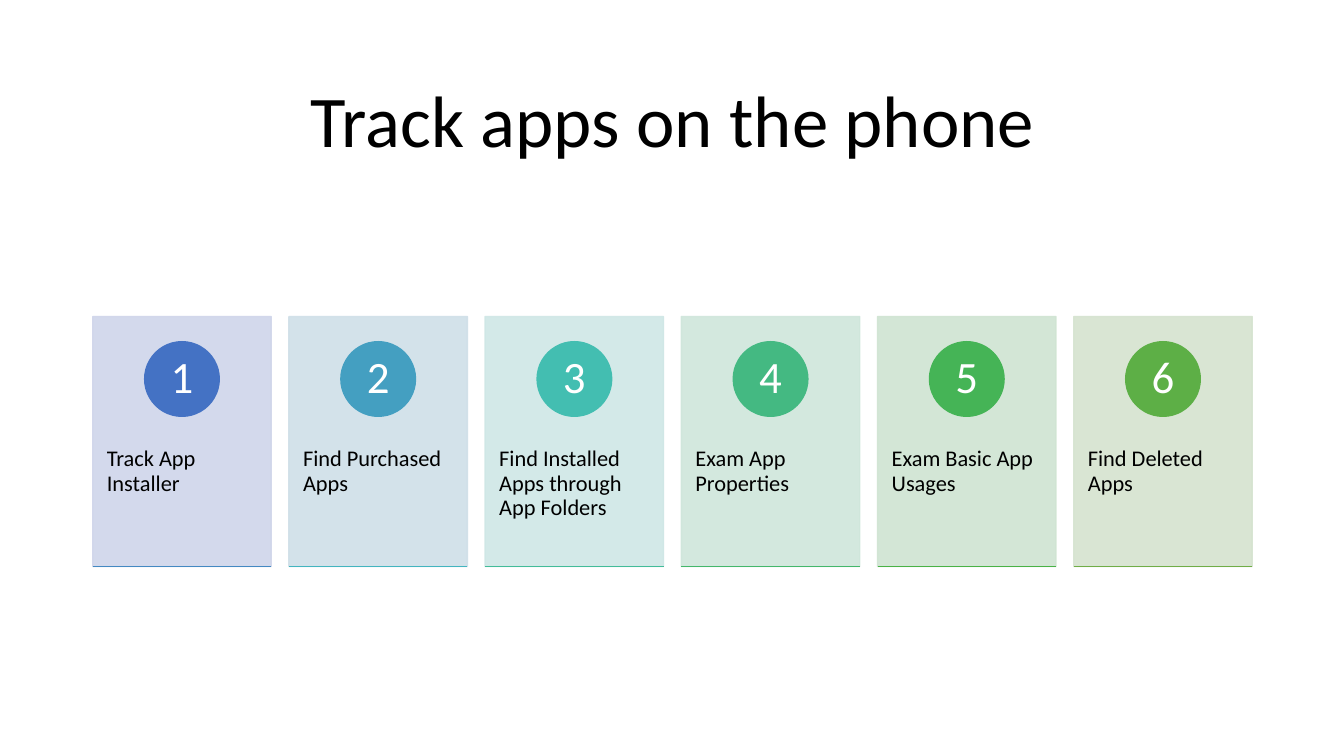
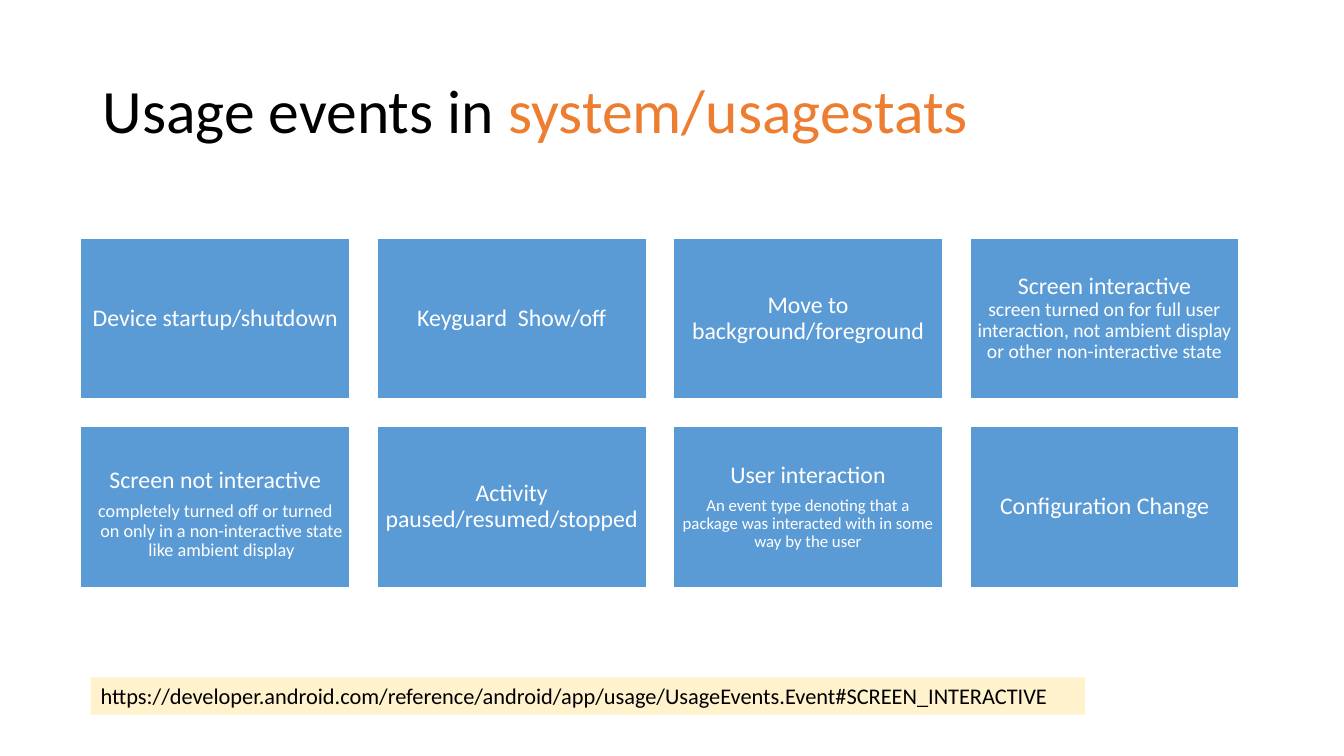
from lxml.etree import SubElement
from pptx import Presentation
from pptx.dml.color import RGBColor
from pptx.enum.shapes import MSO_CONNECTOR, MSO_SHAPE
from pptx.enum.text import MSO_ANCHOR, PP_ALIGN
from pptx.oxml.ns import qn
from pptx.util import Inches, Pt

FONT = "Calibri"
BLACK, WHITE = "000000", "FFFFFF"
ORANGE, BLUE, CREAM = "ED7D31", "5B9BD5", "FFF2CC"

# label, card colour, circle colour, rule colour
STEPS = [
    ("Track App Installer", "CFD5EA", "4472C4", "4489C2"),
    ("Find Purchased Apps", "CFDFE8", "449FC1", "43B5BF"),
    ("Find Installed Apps through App Folders", "CFE7E6", "43BEB1", "43BC99"),
    ("Exam App Properties", "CFE6DB", "44B982", "44B76B"),
    ("Exam Basic App Usages", "CFE4D2", "45B456", "49B246"),
    ("Find Deleted Apps", "D5E3CF", "5DAF46", "70AD47"),
]

# heading, then optional detail: text, size, space before
EVENTS = [
    ("Device startup/shutdown", None),
    ("Keyguard  Show/off", None),
    ("Move to background/foreground", None),
    ("Screen interactive",
     ("screen turned on for full user interaction, not ambient display "
      "or other non-interactive state", 14, 0)),
    ("Screen not interactive",
     ("completely turned off or turned on only in a non-interactive state "
      "like ambient display", 13, 6)),
    ("Activity paused/resumed/stopped", None),
    ("User interaction",
     ("An event type denoting that a package was interacted with in some "
      "way by the user", 12, 6)),
    ("Configuration Change", None),
]
LOW_EVENT = "Screen not interactive"  # set from the top, detail hangs


def rgb(value):
    return RGBColor.from_string(value)


def set_frame(tf, insets, anchor):
    tf.word_wrap = True
    tf.vertical_anchor = anchor
    (tf.margin_left, tf.margin_top,
     tf.margin_right, tf.margin_bottom) = map(Inches, insets)


def style(p, size, color, align=PP_ALIGN.LEFT, spacing=0.9):
    p.alignment = align
    p.line_spacing = spacing
    p.font.name = FONT
    p.font.size = Pt(size)
    p.font.color.rgb = rgb(color)


def add_block(s, kind, left, top, width, height, fill, line=None):
    sp = s.shapes.add_shape(kind, Inches(left), Inches(top),
                            Inches(width), Inches(height))
    sp.shadow.inherit = False
    sp.fill.solid()
    sp.fill.fore_color.rgb = rgb(fill)
    if line:
        sp.line.color.rgb = rgb(line)
        sp.line.width = Pt(1)
    else:
        sp.line.fill.background()
    return sp


def set_alpha(sp, percent):
    for color in sp._element.spPr.iter(qn("a:srgbClr")):
        SubElement(color, qn("a:alpha"), val=str(percent * 1000))


def add_title(s, top, height, size, runs, align):
    box = s.shapes.add_textbox(Inches(0.92), Inches(top),
                               Inches(11.5), Inches(height))
    set_frame(box.text_frame, (0.1, 0.05, 0.1, 0.05), MSO_ANCHOR.MIDDLE)
    p = box.text_frame.paragraphs[0]
    style(p, size, BLACK, align)
    for text, color in runs:
        r = p.add_run()
        r.text = text
        r.font.color.rgb = rgb(color)


def add_step(s, left, top, width, height, number, step):
    label, card_color, circle_color, rule_color = step
    # Card with its label
    card = add_block(s, MSO_SHAPE.RECTANGLE, left, top, width, height,
                     card_color, card_color)
    set_alpha(card, 90)
    set_frame(card.text_frame, (0.14, 1.3, 0.14, 0.05), MSO_ANCHOR.TOP)
    p = card.text_frame.paragraphs[0]
    p.text = label
    style(p, 16, BLACK)
    # Numbered circle
    size = 0.74
    circle = add_block(s, MSO_SHAPE.OVAL, left + (width - size) / 2,
                       top + 0.25, size, size, circle_color, circle_color)
    set_frame(circle.text_frame, (0, 0, 0, 0), MSO_ANCHOR.MIDDLE)
    p = circle.text_frame.paragraphs[0]
    p.text = str(number)
    style(p, 32, WHITE, PP_ALIGN.CENTER)
    # Rule along the bottom edge
    y = Inches(top + height)
    rule = s.shapes.add_connector(MSO_CONNECTOR.STRAIGHT, Inches(left), y,
                                  Inches(left + width), y)
    rule.line.color.rgb = rgb(rule_color)
    rule.line.width = Pt(1)
    SubElement(rule._element.spPr, qn("a:effectLst"))


def add_event(s, left, top, width, height, heading, detail):
    low = heading == LOW_EVENT
    sp = add_block(s, MSO_SHAPE.RECTANGLE, left, top, width, height,
                   BLUE, WHITE)
    set_frame(sp.text_frame, (0.07, 0.41 if low else 0.07, 0.07, 0.07),
              MSO_ANCHOR.TOP if low else MSO_ANCHOR.MIDDLE)
    p = sp.text_frame.paragraphs[0]
    p.text = heading
    style(p, 17, WHITE, PP_ALIGN.CENTER)
    if detail:
        text, size, before = detail
        p = sp.text_frame.add_paragraph()
        p.text = text
        if low:
            pPr = p._p.get_or_add_pPr()
            pPr.set("marL", str(Inches(0.12)))
            pPr.set("indent", str(Inches(-0.12)))
        style(p, size, WHITE, PP_ALIGN.CENTER)
        p.space_before = Pt(before)


def add_source(s, left, top, width, height, address):
    sp = add_block(s, MSO_SHAPE.RECTANGLE, left, top, width, height, CREAM)
    set_frame(sp.text_frame, (0.1, 0.05, 0.1, 0.05), MSO_ANCHOR.TOP)
    p = sp.text_frame.paragraphs[0]
    p.text = address
    style(p, 16, BLACK, spacing=1.0)


def steps_slide(s):
    add_title(s, 0.61, 1.24, 52, [("Track apps on the phone", BLACK)],
              PP_ALIGN.CENTER)
    left, total, width = 0.92, 11.5, 1.77
    pitch = (total - width) / (len(STEPS) - 1)
    for i, step in enumerate(STEPS):
        add_step(s, left + i * pitch, 3.14, width, 2.48, i + 1, step)


def events_slide(s):
    add_title(s, 0.4, 1.45, 44,
              [("Usage events in ", BLACK), ("system/usagestats", ORANGE)],
              PP_ALIGN.LEFT)
    width, height, gap, columns = 2.67, 1.6, 0.27, 4
    for i, (heading, detail) in enumerate(EVENTS):
        row, col = divmod(i, columns)
        add_event(s, 0.8 + col * (width + gap), 2.36 + row * (height + gap),
                  width, height, heading, detail)
    add_source(s, 0.9, 6.72, 9.86, 0.37,
               "https://developer.android.com/reference/android/app/usage/"
               "UsageEvents.Event#SCREEN_INTERACTIVE")


def main():
    prs = Presentation()
    prs.slide_width, prs.slide_height = Inches(13.33), Inches(7.5)
    for build in (steps_slide, events_slide):
        build(prs.slides.add_slide(prs.slide_layouts[6]))
    prs.save("out.pptx")


if __name__ == "__main__":
    main()
